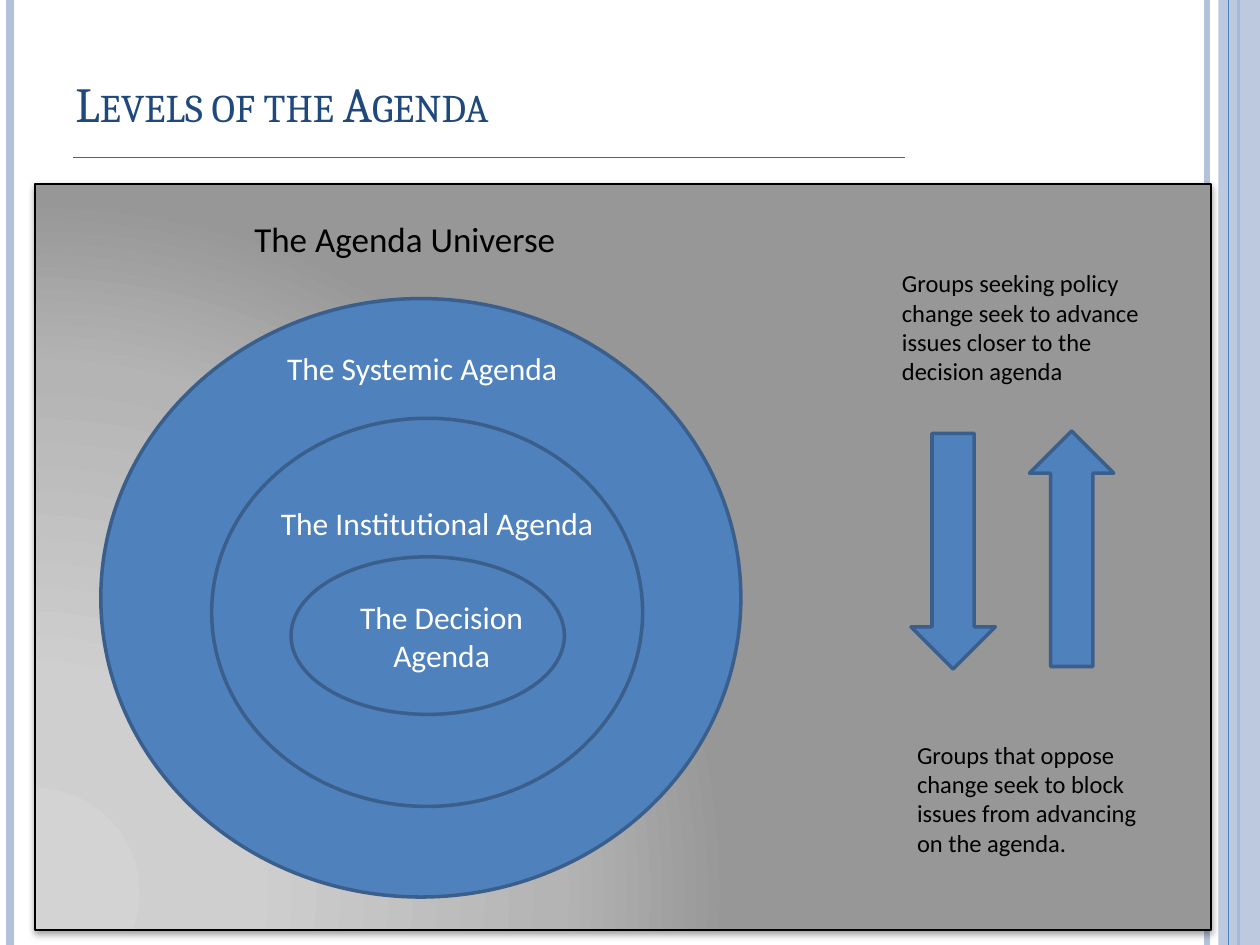
from lxml import etree
from pptx import Presentation, util as u
from pptx.dml.color import RGBColor
from pptx.enum import shapes, text
from pptx.oxml import parse_xml
from pptx.oxml.ns import nsdecls, qn

BLUE = RGBColor(0x4F, 0x81, 0xBD)
EDGE = RGBColor(0x3A, 0x5F, 0x8C)
PALE = RGBColor(0xB3, 0xC1, 0xDB)
NAVY = RGBColor(0x1F, 0x49, 0x7D)
GREY = RGBColor(0x60, 0x60, 0x60)
BLACK = RGBColor(0, 0, 0)
WHITE = RGBColor(0xFF, 0xFF, 0xFF)

deck = Presentation()
deck.slide_width, deck.slide_height = u.Inches(10), u.Inches(7.5)
slide = deck.slides.add_slide(deck.slide_layouts[6])
# Lengths below are percentages of the slide's width and height
COL, ROW = deck.slide_width / 100, deck.slide_height / 100
FULL = 100


def add_line(x1, y1, x2, y2, color, points):
    line = slide.shapes.add_connector(
        shapes.MSO_CONNECTOR.STRAIGHT,
        int(x1 * COL), int(y1 * ROW), int(x2 * COL), int(y2 * ROW))
    line.line.color.rgb = color
    line.line.width = u.Pt(points)
    etree.SubElement(line._element.spPr, qn("a:effectLst"))


def add_label(words, left, top, width, height, size, color, font="Calibri"):
    label = slide.shapes.add_textbox(
        int(left * COL), int(top * ROW), int(width * COL), int(height * ROW))
    label.text_frame.word_wrap = True
    run = label.text_frame.paragraphs[0].add_run()
    run.text = words
    run.font.name, run.font.size = font, u.Pt(size)
    run.font.color.rgb = color
    return label


# Side stripes, with the translucent band lying over the 98.3 line
for x, color, points in ((95.8, PALE, 3), (0.8, PALE, 4.5), (98.3, BLUE, 1.5)):
    add_line(x, 0, x, FULL, color, points)
band = slide.shapes.add_shape(shapes.MSO_SHAPE.RECTANGLE, int(96.7 * COL), 0,
                              int(3.3 * COL), int(FULL * ROW))
band.shadow.inherit = False
band.fill.solid()
band.fill.fore_color.rgb = PALE
band.line.fill.background()
band_color = band._element.spPr.find(".//" + qn("a:srgbClr"))
etree.SubElement(band_color, qn("a:alpha"), val="87000")
add_line(97.5, 0, 97.5, FULL, BLUE, 0.75)

# Title in small capitals
title = add_label("Levels of the Agenda", 5, 4, 81.7, 16.67, 28, NAVY, "Cambria")
title.text_frame.vertical_anchor = text.MSO_ANCHOR.BOTTOM
title.text_frame.margin_bottom = u.Inches(0.5)
title.text_frame.paragraphs[0].runs[0].font._element.set("cap", "small")

# Agenda universe: panel with a circular gradient and a soft shadow
universe = slide.shapes.add_shape(
    shapes.MSO_SHAPE.RECTANGLE, int(2.8 * COL), int(19.47 * ROW),
    int(93.3 * COL), int(78.93 * ROW))
universe.fill.background()
universe.line.color.rgb = BLACK
universe.line.width = u.Pt(1)
universe.shadow.inherit = False
stops = "".join(
    f'<a:gs pos="{share * 1000}"><a:srgbClr val="{shade}"/></a:gs>'
    for share, shade in ((0, "D3D3D3"), (30, "CFCFCF"), (75, "B4B4B4"), (100, "979797")))
gradient = parse_xml(
    f'<a:gradFill {nsdecls("a")} rotWithShape="1"><a:gsLst>{stops}</a:gsLst>'
    '<a:path path="circle"><a:fillToRect l="5000" t="100000" r="120000" b="10000"/>'
    '</a:path></a:gradFill>')
panel_format = universe._element.spPr
panel_format.replace(panel_format.find(qn("a:noFill")), gradient)
panel_format.find(qn("a:effectLst")).append(parse_xml(
    f'<a:outerShdw {nsdecls("a")} blurRad="{u.Pt(4)}" dist="{u.Pt(2)}" dir="5400000" '
    'rotWithShape="0"><a:srgbClr val="000000"><a:alpha val="40000"/></a:srgbClr>'
    '</a:outerShdw>'))
add_label("The Agenda Universe", 19.2, 22.4, 28.3, 5.87, 20, BLACK)

# Nested agendas, then the two opposing arrows
OVAL, ARROW = shapes.MSO_SHAPE.OVAL, shapes.MSO_SHAPE.DOWN_ARROW
for kind, left, top, width, height, turn in (
        (OVAL, 8, 31.6, 50.8, 63.33, 0),
        (OVAL, 16.8, 44.27, 34.2, 41.07, 0),
        (OVAL, 23.1, 58.93, 21.7, 16.67, 0),
        (ARROW, 72.3, 45.87, 6.7, 24.93, 0),
        (ARROW, 81.7, 45.6, 6.7, 24.93, 180)):
    figure = slide.shapes.add_shape(
        kind, int(left * COL), int(top * ROW), int(width * COL), int(height * ROW))
    figure.rotation = turn
    figure.shadow.inherit = False
    figure.fill.solid()
    figure.fill.fore_color.rgb = BLUE
    figure.line.color.rgb = EDGE
    figure.line.width = u.Pt(2)

# Agenda names
add_label("The Systemic Agenda", 21.8, 36.27, 24.2, 5.33, 18, WHITE)
add_label("The Institutional Agenda", 21.3, 52.67, 27.5, 5.33, 18, WHITE)
decision = add_label("The Decision Agenda", 26.7, 62.67, 16.7, 9.47, 18, WHITE)
decision.text_frame.paragraphs[0].alignment = text.PP_ALIGN.CENTER

# Remarks on the groups
add_label("Groups seeking policy change seek to advance issues closer to the "
          "decision agenda", 70.6, 27.73, 23.6, 13.87, 14, BLACK)
opponents = add_label("Groups that oppose change seek to block issues from advancing "
                      "on the agenda.", 71.8, 74.4, 20, 21.07, 14, BLACK)
opponents.text_frame.margin_top = u.Inches(0.29)

# Rule under the title
add_line(5.8, 16.67, 71.8, 16.67, GREY, 0.75)

deck.save("out.pptx")
